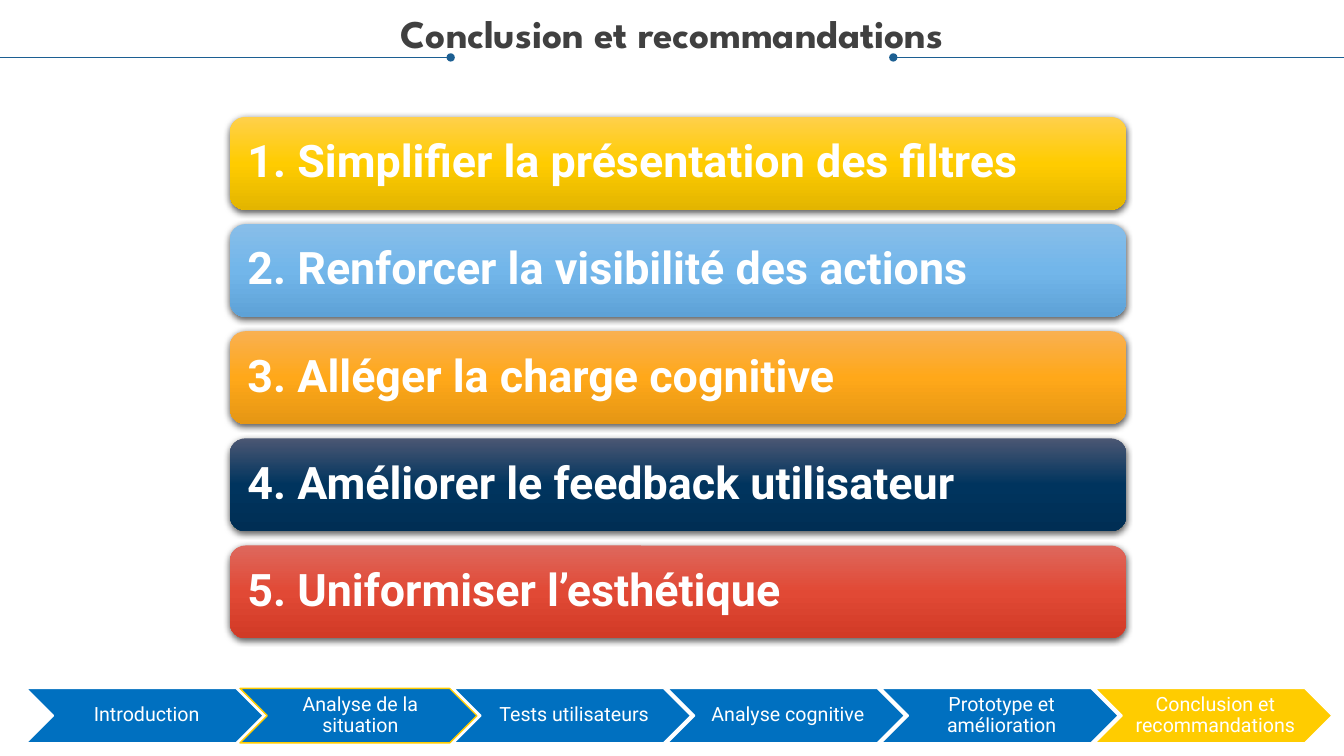
"""Build the conclusion slide: title, five advice bars and a step ribbon."""
from copy import deepcopy
from lxml.etree import SubElement as Sub
from pptx import Presentation
from pptx.dml.color import RGBColor
from pptx.enum.shapes import MSO_CONNECTOR as Link, MSO_SHAPE as Shape
from pptx.enum.text import MSO_ANCHOR as Anchor, PP_ALIGN as Align
from pptx.oxml.ns import qn
from pptx.util import Inches, Pt

color = RGBColor.from_string


def write(text, shape, size, font="Roboto", tint="FFFFFF", bold=False,
          align=Align.CENTER, anchor=Anchor.MIDDLE, inset=(0, 0, 0, 0)):
    frame = shape.text_frame
    frame.word_wrap = True
    frame.vertical_anchor = anchor
    (frame.margin_left, frame.margin_top,
     frame.margin_right, frame.margin_bottom) = map(Inches, inset)
    para = frame.paragraphs[0]
    para.alignment = align
    para.line_spacing = 0.9
    run = para.add_run()
    run.text = text
    run.font.name = font
    run.font.size = Pt(size)
    run.font.bold = bold
    run.font.color.rgb = color(tint)


deck = Presentation()
deck.slide_width, deck.slide_height = Inches(13.33), Inches(7.5)
wide = deck.slide_width
slide = deck.slides.add_slide(deck.slide_layouts[6])
shapes = slide.shapes

rule = Inches(0.57)
for start, end in ((Inches(8.86), wide), (Inches(4.47), 0)):
    line = shapes.add_connector(Link.STRAIGHT, start, rule, end, rule)
    line.line.color.rgb = color("1C5F92")
    line.line.width = Pt(0.5)
    props = line._element.spPr
    Sub(props.find(qn("a:ln")), qn("a:headEnd"), type="oval")
    Sub(props, qn("a:effectLst"))

side = Inches(0.25)
title = shapes.add_textbox(side, Inches(0.14), wide - 2 * side, Inches(0.42))
write("Conclusion et recommandations", title, 28, font="League Spartan",
      tint="404040", bold=True, anchor=Anchor.TOP)

steps = (
    ("Introduction", "0070C0", "FFFFFF"),
    ("Analyse de la situation", "0070C0", "FFCC00"),
    ("Tests utilisateurs", "0070C0", "FFFFFF"),
    ("Analyse cognitive", "0070C0", "FFFFFF"),
    ("Prototype et amélioration", "0070C0", "FFFFFF"),
    ("Conclusion et recommandations", "FFCC00", "FFFFFF"),
)
for col, (text, fill, edge) in enumerate(steps):
    step = shapes.add_shape(Shape.CHEVRON, Inches(0.26 + 2.12 * col),
                            Inches(6.83), Inches(2.35), Inches(0.54))
    step.shadow.inherit = False
    step.fill.solid()
    step.fill.fore_color.rgb = color(fill)
    step.line.color.rgb = color(edge)
    step.line.width = Pt(1)
    write(text, step, 14, inset=(0.06, 0.02, 0.02, 0.02))

bars = (
    ("Simplifier la présentation des filtres", "FFD04B", "FFCC00", "E3B500"),
    ("Renforcer la visibilité des actions", "88BEE9", "72B6EA", "5EA2D7"),
    ("Alléger la charge cognitive", "F9B051", "FFA819", "E59614"),
    ("Améliorer le feedback utilisateur", "4B5773", "00345E", "002E54"),
    ("Uniformiser l’esthétique", "DE685D", "E14935", "D13A26"),
)
for row, (text, *tints) in enumerate(bars):
    bar = shapes.add_shape(Shape.ROUNDED_RECTANGLE, Inches(2.28),
                           Inches(1.16 + 1.063 * row), Inches(8.89), Inches(0.92))
    bar.line.fill.background()
    bar.fill.gradient()
    bar.fill.gradient_angle = 270
    props = bar._element.spPr
    stops = props.find(qn("a:gradFill")).find(qn("a:gsLst"))
    stops.append(deepcopy(stops[0]))
    for rank, (stop, tint) in enumerate(zip(bar.fill.gradient_stops, tints)):
        stop.position = rank / 2
        stop.color.rgb = color(tint)
    bar.shadow.inherit = False
    shade = Sub(props.find(qn("a:effectLst")), qn("a:outerShdw"),
                blurRad=str(Pt(4.5)), dist=str(Pt(1.5)), dir="5400000",
                algn="ctr", rotWithShape="0")
    black = Sub(shade, qn("a:srgbClr"), val="000000")
    Sub(black, qn("a:alpha"), val="63000")
    write(f"{row + 1}. {text}", bar, 32, bold=True, align=Align.LEFT,
          inset=(0.13, 0.13, 0.13, 0.13))

deck.save("out.pptx")
